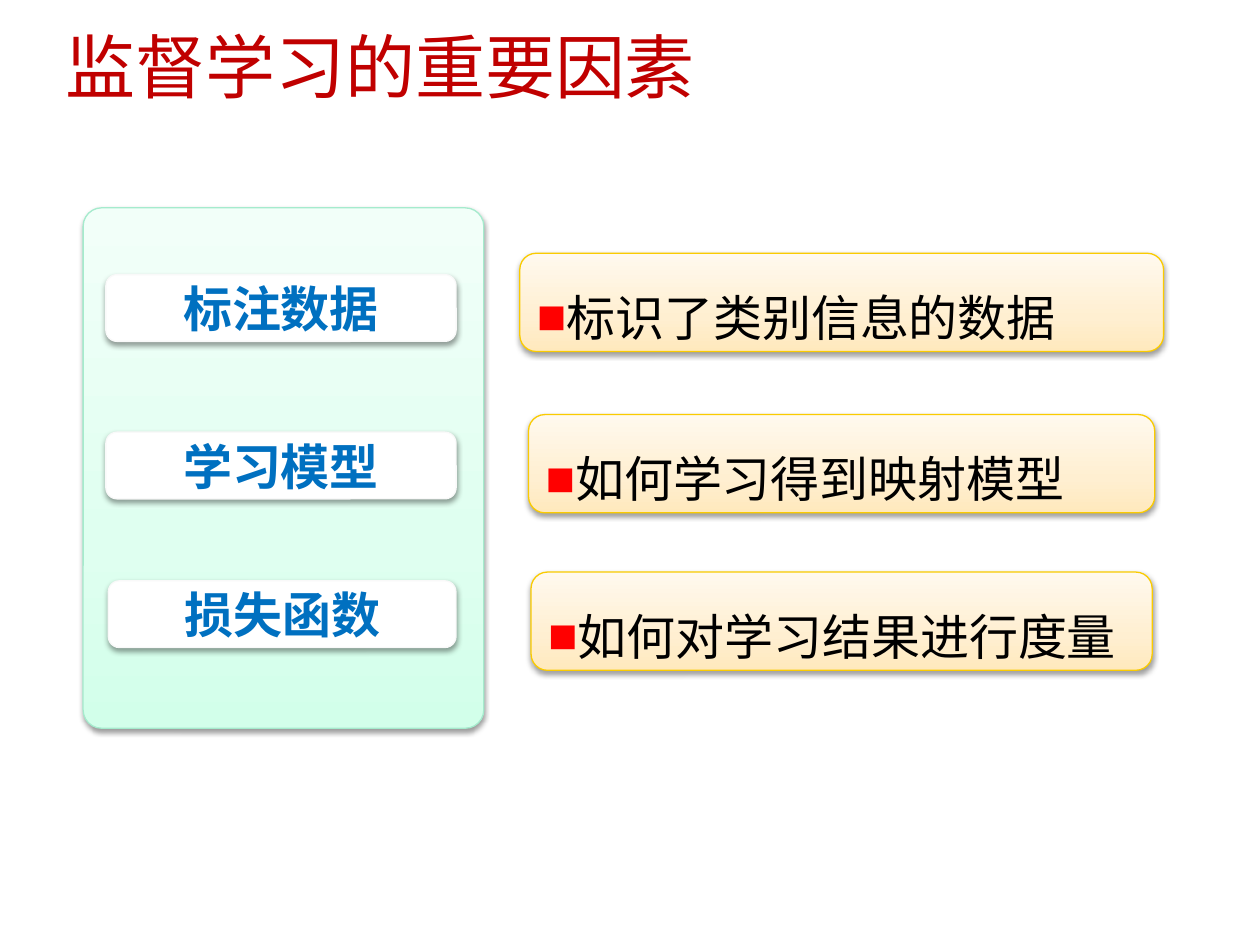
from dataclasses import dataclass

from lxml import etree
from pptx import Presentation
from pptx.dml.color import RGBColor
from pptx.enum.shapes import MSO_SHAPE
from pptx.enum.text import MSO_ANCHOR, MSO_AUTO_SIZE, PP_ALIGN
from pptx.oxml.ns import qn
from pptx.util import Inches, Pt

ROUNDED = MSO_SHAPE.ROUNDED_RECTANGLE
MIDDLE = MSO_ANCHOR.MIDDLE
LEFT, CENTER = PP_ALIGN.LEFT, PP_ALIGN.CENTER
NO_FIT = MSO_AUTO_SIZE.NONE

WIDTH, HEIGHT = Inches(10), Inches(7.5)
COLUMNS, ROWS = 100, 75
NOTE_CENTER, NOTE_HEIGHT = 66.8, 7.8
LABEL_RIGHT, LABEL_HEIGHT = 36.2, 5.3


@dataclass(frozen=True)
class Theme:
    title_font: str = "Noto Sans CJK JP"
    body_font: str = "Noto Sans CJK SC"
    title_size: int = 40
    body_size: int = 28
    title: str = "C00000"
    label: str = "0070C0"
    text: str = "000000"
    bullet: str = "FF0000"
    label_fill: str = "FFFFFF"
    label_line: str = "F9F9F9"
    note_line: str = "FACB00"
    panel_line: str = "A5EBCD"
    note_fill: tuple = ((0, "FFE9BD"), (35, "FFEFD1"), (100, "FFF9EE"))
    panel_fill: tuple = ((0, "D2FFEA"), (35, "DFFFF0"), (100, "F2FFF9"))


THEME = Theme()

# label, label top, label width, note, note top, note width
FACTORS = [
    ("标注数据", 21.8, 27.8, "标识了类别信息的数据", 20.1, 51.1),
    ("学习模型", 34.3, 27.8, "如何学习得到映射模型", 32.9, 49.7),
    ("损失函数", 46.1, 27.6, "如何对学习结果进行度量", 45.4, 49.3),
]


def grid(left, top, width, height):
    """Turn grid columns and rows into slide lengths."""
    col, row = WIDTH / COLUMNS, HEIGHT / ROWS
    return [round(v) for v in (left * col, top * row, width * col, height * row)]


def add_element(parent, tag, **attrs):
    return etree.SubElement(parent, qn(tag), {k: str(v) for k, v in attrs.items()})


def set_attributes(obj, **values):
    for name, value in values.items():
        setattr(obj, name, value)


def fill_gradient(shape, stops):
    """Fill from bottom to top with (percent, colour) stops."""
    shape.fill.gradient()
    shape.fill.gradient_angle = 90
    stop_list = shape.element.spPr.find(".//" + qn("a:gsLst"))
    for old in list(stop_list):
        stop_list.remove(old)
    for percent, color in stops:
        stop = add_element(stop_list, "a:gs", pos=percent * 1000)
        add_element(stop, "a:srgbClr", val=color)


def add_shadow(shape):
    shape.shadow.inherit = False
    effects = shape.element.spPr.find(qn("a:effectLst"))
    shadow = add_element(effects, "a:outerShdw", blurRad=Pt(3.1), dist=Pt(1.6),
                         dir=90 * 60000, rotWithShape=0)
    color = add_element(shadow, "a:srgbClr", val="000000")
    add_element(color, "a:alpha", val=38000)


def add_card(shapes, box, fill, line):
    """Add a rounded card; fill is a colour or a tuple of gradient stops."""
    card = shapes.add_shape(ROUNDED, *grid(*box))
    if isinstance(fill, str):
        card.fill.solid()
        card.fill.fore_color.rgb = RGBColor.from_string(fill)
    else:
        fill_gradient(card, fill)
    card.line.color.rgb = RGBColor.from_string(line)
    card.line.width = Pt(0.75)
    add_shadow(card)
    return card


def write(p, text, font, size, color, bold=False):
    r = p.add_run()
    r.text = text
    set_attributes(r.font, name=font, size=Pt(size), bold=bold)
    r.font.color.rgb = RGBColor.from_string(color)
    add_element(r.font._element, "a:ea", typeface=font)


def card_paragraph(card, align):
    tf = card.text_frame
    set_attributes(tf, word_wrap=False, vertical_anchor=MIDDLE,
                   margin_left=Inches(0.1), margin_right=Inches(0.1),
                   margin_top=0, margin_bottom=0)
    p = tf.paragraphs[0]
    p.alignment = align
    return p


def add_bullet(p):
    props = p._p.get_or_add_pPr()
    props.set("marL", "0")
    props.set("indent", str(Inches(-0.48)))
    color = add_element(props, "a:buClr")
    add_element(color, "a:srgbClr", val=THEME.bullet)
    add_element(props, "a:buFont", typeface="Arial")
    add_element(props, "a:buChar", char="■")


def add_note(s, text, top, width):
    box = (NOTE_CENTER - width / 2, top, width, NOTE_HEIGHT)
    card = add_card(s.shapes, box, THEME.note_fill, THEME.note_line)
    p = card_paragraph(card, LEFT)
    add_bullet(p)
    set_attributes(p, level=1, line_spacing=1.5)
    write(p, text, THEME.body_font, THEME.body_size, THEME.text)


def add_label(group, text, top, width):
    box = (LABEL_RIGHT - width, top, width, LABEL_HEIGHT)
    card = add_card(group.shapes, box, THEME.label_fill, THEME.label_line)
    p = card_paragraph(card, CENTER)
    write(p, text, THEME.body_font, THEME.body_size, THEME.label, bold=True)


def set_title(s, text):
    title = s.shapes.title
    left, top, width, height = grid(4.2, 1.5, 91.6, 7.2)
    set_attributes(title, left=left, top=top, width=width, height=height)
    tf = title.text_frame
    set_attributes(tf, word_wrap=True, auto_size=NO_FIT, vertical_anchor=MIDDLE,
                   margin_left=Inches(0.1), margin_right=Inches(0.1),
                   margin_top=Inches(0.16), margin_bottom=Inches(0.05))
    p = tf.paragraphs[0]
    set_attributes(p, alignment=LEFT, line_spacing=0.9)
    write(p, text, THEME.title_font, THEME.title_size, THEME.title)


def main():
    prs = Presentation()
    set_attributes(prs, slide_width=WIDTH, slide_height=HEIGHT)
    s = prs.slides.add_slide(prs.slide_layouts[5])
    set_title(s, "监督学习的重要因素")

    for _, _, _, note, top, width in FACTORS:
        add_note(s, note, top, width)

    group = s.shapes.add_group_shape()
    panel = add_card(group.shapes, (6.6, 16.5, 31.8, 41.3),
                     THEME.panel_fill, THEME.panel_line)
    panel.adjustments[0] = 0.046
    for label, top, width, *_ in FACTORS:
        add_label(group, label, top, width)

    prs.save("out.pptx")


if __name__ == "__main__":
    main()
